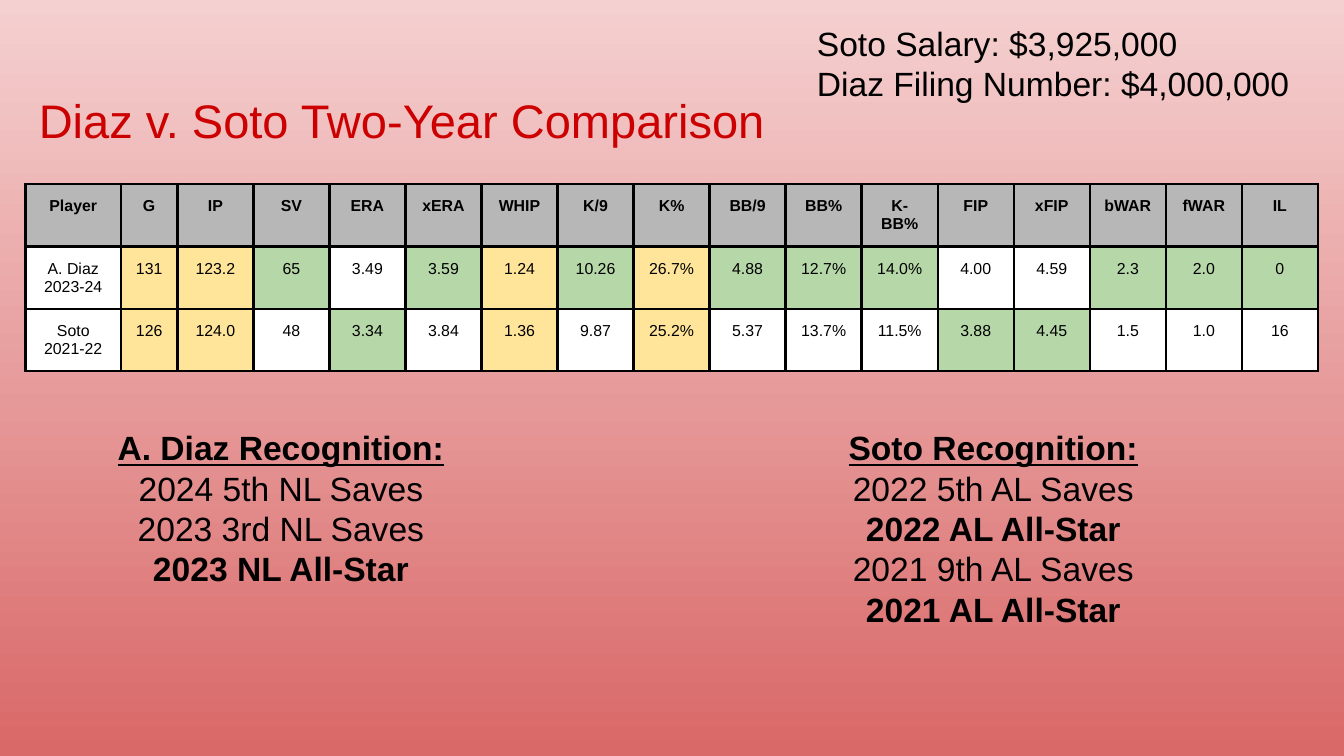
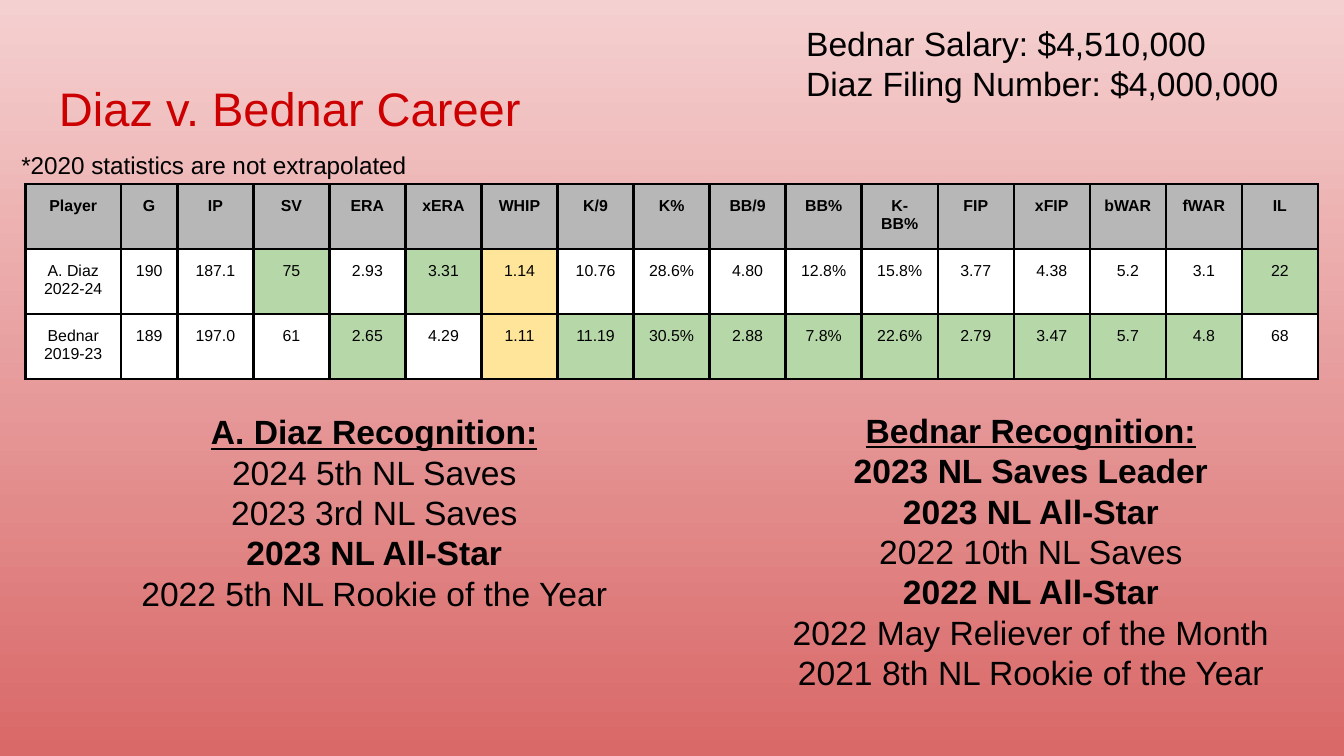
from lxml import etree
from pptx import Presentation
from pptx.dml.color import RGBColor
from pptx.enum.text import MSO_ANCHOR, PP_ALIGN
from pptx.oxml.ns import qn
from pptx.util import Inches, Pt

COLORS = {
    "sky": "F5D0D0", "ground": "D96868", "title": "CC0000", "ink": "000000",
    "header": "B7B7B7", "plain": "FFFFFF", "better": "B6D7A8", "even": "FFE599",
}
FONT = "Arial"
MARKS = {"-": "plain", "+": "better", "=": "even", "h": "header"}
HEADINGS = ["Player", "G", "IP", "SV", "ERA", "xERA", "WHIP", "K/9", "K%", "BB/9",
            "BB%", "K-\nBB%", "FIP", "xFIP", "bWAR", "fWAR", "IL"]
TABLE_LEFT, TABLE_TOP, TABLE_WIDTH, ROW_HEIGHT = 0.19, 1.37, 9.62, 0.42
FRAME_SIDE = 3.28
PLAYER_WIDTH, GAMES_WIDTH = 0.71, 0.42

# Each stat row: player, values, one mark per cell (+ better, = even, - plain).
# Awards starting with * are bold.
SLIDES = [
    {
        "title": ("Diaz v. Soto Two-Year Comparison", (0.19, 0.58, 9.32, 0.63)),
        "salary": (["Soto Salary: $3,925,000", "Diaz Filing Number: $4,000,000"],
                   (5.98, 0.07, 3.99, 0.56)),
        "stats": [
            ("A. Diaz\n2023-24", "131 123.2 65 3.49 3.59 1.24 10.26 26.7% 4.88 "
             "12.7% 14.0% 4.00 4.59 2.3 2.0 0", "-==+-+=+=+++--+++"),
            ("Soto\n2021-22", "126 124.0 48 3.34 3.84 1.36 9.87 25.2% 5.37 "
             "13.7% 11.5% 3.88 4.45 1.5 1.0 16", "-==-+-=-=---++---"),
        ],
        "recognition": [
            ("Soto Recognition:",
             ["2022 5th AL Saves", "*2022 AL All-Star", "2021 9th AL Saves",
              "*2021 AL All-Star"], (5.98, 3.08, 2.82, 1.3)),
            ("A. Diaz Recognition:",
             ["2024 5th NL Saves", "2023 3rd NL Saves", "*2023 NL All-Star"],
             (0.68, 3.08, 2.82, 1.3)),
        ],
    },
    {
        "title": ("Diaz v. Bednar Career", (0.34, 0.49, 9.32, 0.63)),
        "salary": (["Bednar Salary: $4,510,000", "Diaz Filing Number: $4,000,000"],
                   (5.9, 0.07, 4.01, 0.81)),
        "note": ("*2020 statistics are not extrapolated", (0.06, 1.02, 4.12, 0.35)),
        "stats": [
            ("A. Diaz\n2022-24", "190 187.1 75 2.93 3.31 1.14 10.76 28.6% 4.80 "
             "12.8% 15.8% 3.77 4.38 5.2 3.1 22", "---+-+=---------+"),
            ("Bednar\n2019-23", "189 197.0 61 2.65 4.29 1.11 11.19 30.5% 2.88 "
             "7.8% 22.6% 2.79 3.47 5.7 4.8 68", "----+-=+++++++++-"),
        ],
        "recognition": [
            ("Bednar Recognition:",
             ["*2023 NL Saves Leader", "*2023 NL All-Star", "2022 10th NL Saves",
              "*2022 NL All-Star", "2022 May Reliever of the Month",
              "2021 8th NL Rookie of the Year"], (5.61, 2.95, 4.12, 1.3)),
            ("A. Diaz Recognition:",
             ["2024 5th NL Saves", "2023 3rd NL Saves", "*2023 NL All-Star",
              "2022 5th NL Rookie of the Year"], (0.78, 2.96, 4.01, 2.11)),
        ],
    },
]


def rgb(name):
    return RGBColor.from_string(COLORS[name])


def write(frame, lines, size, color="ink", align=PP_ALIGN.LEFT):
    """Write (text, bold, underline) lines, one paragraph each."""
    for index, (text, bold, underline) in enumerate(lines):
        para = frame.add_paragraph() if index else frame.paragraphs[0]
        para.alignment = align
        span = para.add_run()
        span.text = text
        font = span.font
        font.name, font.size, font.bold, font.underline = FONT, Pt(size), bold, underline
        font.color.rgb = rgb(color)


def set_insets(holder):
    holder.margin_left = holder.margin_right = Inches(0.1)
    holder.margin_top = holder.margin_bottom = Inches(0.1)


def add_text(page, lines, place, size, **style):
    box = page.shapes.add_textbox(*map(Inches, place))
    frame = box.text_frame
    frame.word_wrap = True
    frame.vertical_anchor = MSO_ANCHOR.TOP
    set_insets(frame)
    write(frame, lines, size, **style)


def add_borders(cell):
    properties = cell._tc.get_or_add_tcPr()
    for position, side in enumerate(("a:lnL", "a:lnR", "a:lnT", "a:lnB")):
        line = etree.Element(qn(side), w=str(Pt(1.5)))
        fill = etree.SubElement(line, qn("a:solidFill"))
        etree.SubElement(fill, qn("a:srgbClr"), val=COLORS["ink"])
        properties.insert(position, line)


def add_stats(page, stats):
    rows = [(HEADINGS, "h" * len(HEADINGS))]
    rows += [([player] + values.split(), marks) for player, values, marks in stats]
    stat_count = len(HEADINGS) - 2
    stat_width = (TABLE_WIDTH - PLAYER_WIDTH - GAMES_WIDTH) / stat_count
    place = (TABLE_LEFT, TABLE_TOP, FRAME_SIDE, FRAME_SIDE)
    holder = page.shapes.add_table(len(rows), len(HEADINGS), *map(Inches, place))
    table = holder.table
    for column, width in zip(table.columns,
                             [PLAYER_WIDTH, GAMES_WIDTH] + [stat_width] * stat_count):
        column.width = Inches(width)
    for row in table.rows:
        row.height = Inches(ROW_HEIGHT)
    holder.width = holder.height = Inches(FRAME_SIDE)
    for row_index, (texts, marks) in enumerate(rows):
        for column_index, (text, mark) in enumerate(zip(texts, marks)):
            cell = table.cell(row_index, column_index)
            set_insets(cell)
            cell.fill.solid()
            cell.fill.fore_color.rgb = rgb(MARKS[mark])
            add_borders(cell)
            lines = [(line, mark == "h", False) for line in text.split("\n")]
            write(cell.text_frame, lines, 8.5, align=PP_ALIGN.CENTER)


def paint_background(page):
    fill = page.background.fill
    fill.gradient()
    fill.gradient_angle = 270
    for stop, name in zip(fill.gradient_stops, ("sky", "ground")):
        stop.color.rgb = rgb(name)


def add_page(deck, content):
    page = deck.slides.add_slide(deck.slide_layouts[6])
    paint_background(page)
    add_stats(page, content["stats"])
    for heading, awards, place in content["recognition"]:
        lines = [(heading, True, True)]
        lines += [(award.lstrip("*"), award.startswith("*"), False) for award in awards]
        add_text(page, lines, place, 18, align=PP_ALIGN.CENTER)
    title, place = content["title"]
    add_text(page, [(title, False, False)], place, 25.2, color="title")
    if "note" in content:
        note, place = content["note"]
        add_text(page, [(note, False, False)], place, 13)
    salaries, place = content["salary"]
    add_text(page, [(salary, False, False) for salary in salaries], place, 18)


def main():
    deck = Presentation()
    deck.slide_width = Inches(10)
    deck.slide_height = deck.slide_width * 9 // 16
    for content in SLIDES:
        add_page(deck, content)
    deck.save("out.pptx")


if __name__ == "__main__":
    main()
